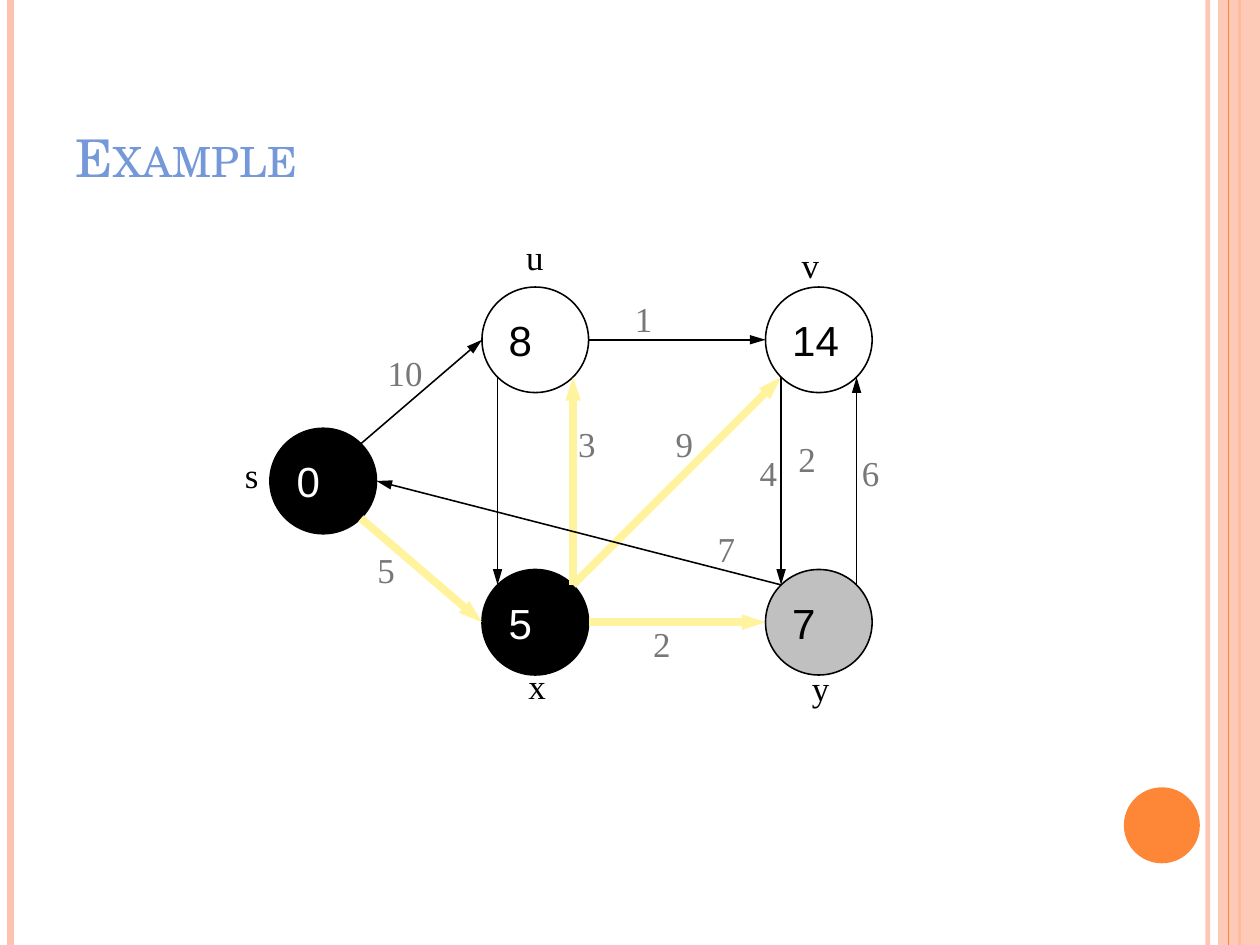
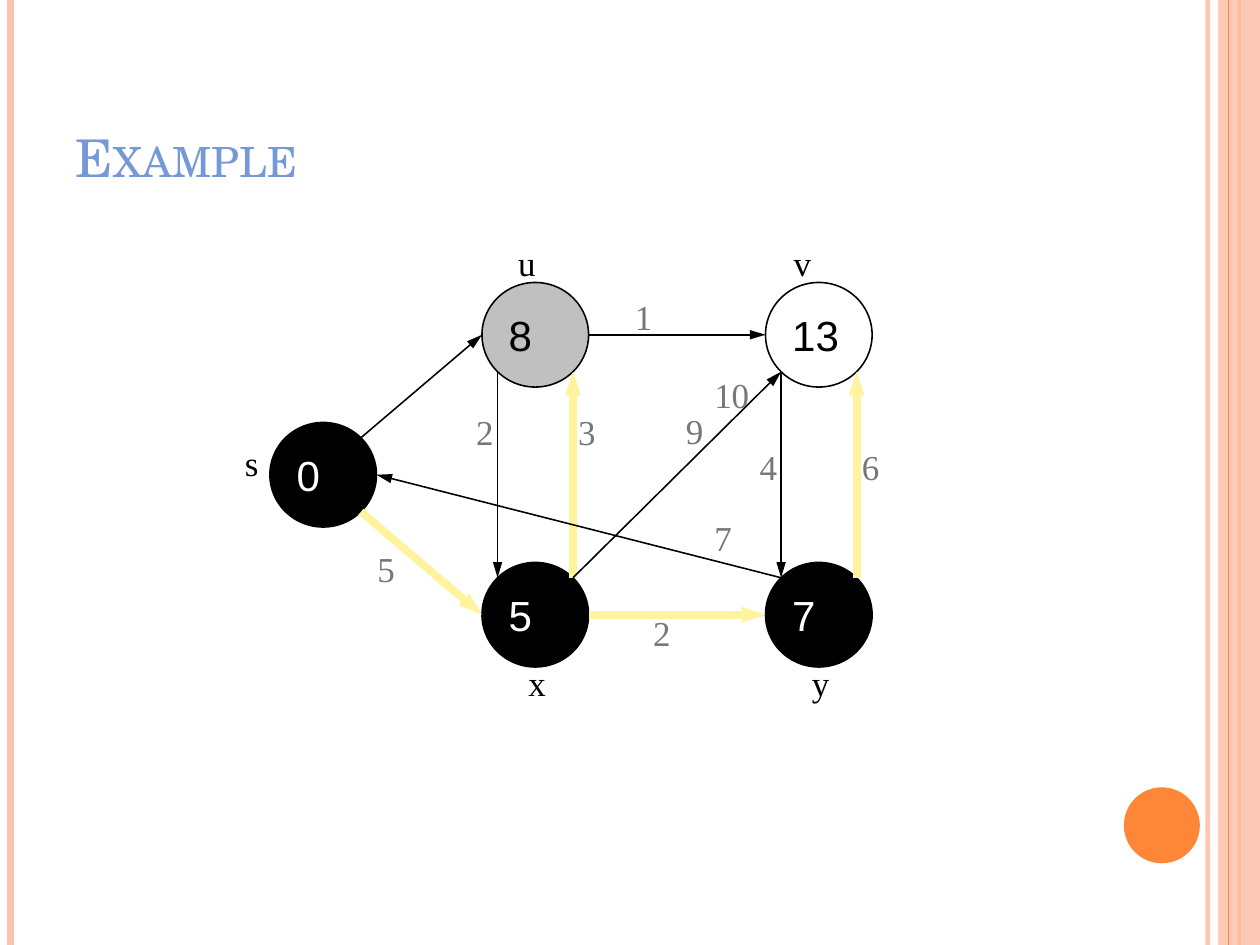
from lxml import etree
from pptx import Presentation
from pptx.dml.color import RGBColor
from pptx.enum.shapes import MSO_CONNECTOR, MSO_SHAPE
from pptx.enum.text import MSO_ANCHOR, MSO_AUTO_SIZE, PP_ALIGN
from pptx.oxml.ns import qn
from pptx.util import Inches, Pt

STRAIGHT = MSO_CONNECTOR.STRAIGHT
OVAL, RECTANGLE = MSO_SHAPE.OVAL, MSO_SHAPE.RECTANGLE
MIDDLE, BOTTOM = MSO_ANCHOR.MIDDLE, MSO_ANCHOR.BOTTOM
LEFT = PP_ALIGN.LEFT
NO_AUTOFIT = MSO_AUTO_SIZE.NONE

COLORS = {
    "black": "000000", "white": "FFFFFF", "gray": "C0C0C0",
    "title": "7598D9", "weight": "777777", "path": "FFF39D",
    "peach": "FEC3AE", "orange": "FE8637",
}
SLIDE_W, SLIDE_H = 11.11, 8.33
TITLE_BOX = (0.56, 0.33, 9.07, 1.39)
BAND_LINES = [
    (10.65, "peach", 3, 93), (0.09, "peach", 4.5, 100),
    (10.93, "orange", 1.5, 100), (10.83, "orange", 0.75, 100),
]

NODE_W = 0.94
NODE_HEIGHT_SHARE = 0.272
COLUMNS = (0, 1.87, 4.37)
NODE_CELLS = {"u": (1, 0), "v": (2, 0), "x": (1, 2), "y": (2, 2), "s": (0, 1)}
NEAR, FAR = 0.146, 0.854
SITES = {
    "left": (0, 0.5), "right": (1, 0.5),
    "top left": (NEAR, NEAR), "top right": (FAR, NEAR),
    "bottom left": (NEAR, FAR), "bottom right": (FAR, FAR),
}
EDGES = [
    ("x", "top right", "u", "bottom right"),
    ("u", "bottom left", "x", "top left"),
    ("u", "right", "v", "left"),
    ("x", "top right", "v", "bottom left"),
    ("v", "bottom left", "y", "top left"),
    ("y", "top right", "v", "bottom right"),
    ("x", "right", "y", "left"),
    ("y", "top left", "s", "right"),
    ("s", "bottom right", "x", "left"),
    ("s", "top right", "u", "left"),
]
LABEL_H = 0.47
WIDE_WEIGHTS = ("10", "5", "1")

STEPS = [
    {
        "box": (2.38, 2.53, 5.31, 3.42),
        "nodes": {"u": ("8", None), "v": ("14", None), "x": ("5", "black"),
                  "y": ("7", "gray"), "s": ("0", "black")},
        "path": ("xu", "xv", "xy", "sx"),
        "names": [("s", -0.32, 1.42), ("y", 4.68, 3.3), ("x", 2.18, 3.28),
                  ("u", 2.16, -0.5), ("v", 4.59, -0.43)],
        "weights": [("2", 4.56, 1.28), ("10", 0.94, 0.52), ("5", 0.85, 2.26),
                    ("1", 3.12, 0.04), ("3", 2.62, 1.15), ("9", 3.48, 1.15),
                    ("4", 4.22, 1.4), ("6", 5.12, 1.4), ("7", 3.85, 2.07),
                    ("2", 3.28, 2.91)],
    },
    {
        "box": (2.38, 2.49, 5.31, 3.39),
        "nodes": {"u": ("8", "gray"), "v": ("13", None), "x": ("5", "black"),
                  "y": ("7", "black"), "s": ("0", "black")},
        "path": ("xu", "yv", "xy", "sx"),
        "names": [("s", -0.32, 1.35), ("u", 2.09, -0.41), ("v", 4.52, -0.41),
                  ("y", 4.68, 3.29), ("x", 2.18, 3.29)],
        "weights": [("10", 3.82, 0.75), ("5", 0.85, 2.29), ("1", 3.12, 0.07),
                    ("2", 1.72, 1.08), ("3", 2.62, 1.08), ("9", 3.57, 1.07),
                    ("4", 4.22, 1.39), ("6", 5.12, 1.39), ("7", 3.82, 2.01),
                    ("2", 3.28, 2.85)],
    },
]


def rgb(name):
    """Return the named colour."""
    return RGBColor.from_string(COLORS[name])


def set_opacity(element, percent):
    """Make the first colour inside the element partly transparent."""
    color = next(element.iter(qn("a:srgbClr")))
    etree.SubElement(color, qn("a:alpha")).set("val", str(percent * 1000))


def format_font(paragraph, face, size, color):
    """Set the face, size and colour of the paragraph's runs."""
    for run in paragraph.runs:
        run.font.name = face
        run.font.size = Pt(size)
        run.font.color.rgb = rgb(color)


def add_line(slide, start, end, color, width, opacity=100, arrow=None):
    """Draw a straight line, with an arrowhead of the given width and length."""
    line = slide.shapes.add_connector(
        STRAIGHT, *(Inches(value) for value in (*start, *end)))
    line.line.color.rgb = rgb(color)
    line.line.width = Pt(width)
    properties = line.element.spPr
    outline = properties.find(qn("a:ln"))
    if opacity < 100:
        set_opacity(outline, opacity)
    if arrow:
        head = etree.SubElement(outline, qn("a:tailEnd"))
        head.set("type", "triangle")
        head.set("w", arrow[0])
        head.set("len", arrow[1])
    etree.SubElement(properties, qn("a:effectLst"))
    return line


def add_filled(slide, kind, box, color):
    """Add a preset shape without shadow or outline; None leaves it unfilled."""
    shape = slide.shapes.add_shape(kind, *(Inches(value) for value in box))
    shape.shadow.inherit = False
    shape.line.fill.background()
    if color:
        shape.fill.solid()
        shape.fill.fore_color.rgb = rgb(color)
    else:
        shape.fill.background()
    return shape


def move_bands_to_layout(slide, layout):
    """Draw the bands and the disc, and place them on the shared layout."""
    for footer in list(layout.placeholders)[1:]:
        footer.element.getparent().remove(footer.element)
    bands = [add_line(slide, (x, 0), (x, SLIDE_H), color, width, opacity)
             for x, color, width, opacity in BAND_LINES]
    side_band = add_filled(
        slide, RECTANGLE, (10.74, 0, 0.37, SLIDE_H), "peach")
    set_opacity(side_band.element.spPr, 87)
    disc = add_filled(slide, OVAL, (9.91, 6.94, 0.67, 0.67), "orange")
    for part in (*bands[:3], side_band, bands[3], disc):
        layout.shapes.element.append(part.element)


def format_title(slide, text, box):
    """Fill, place and format the title placeholder."""
    title = slide.shapes.title
    title.left, title.top, title.width, title.height = map(Inches, box)
    frame = title.text_frame
    frame.text = text
    frame.auto_size = NO_AUTOFIT
    frame.vertical_anchor = BOTTOM
    frame.margin_left = frame.margin_right = Inches(0.11)
    frame.margin_top = frame.margin_bottom = Inches(0.06)
    paragraph = frame.paragraphs[0]
    paragraph.alignment = LEFT
    format_font(paragraph, "TeX Gyre Schola", 33, "title")
    for properties in paragraph.runs[0].font, :
        next(title.element.iter(qn("a:rPr"))).set("cap", "small")


def add_node(slide, box, distance, color):
    """Draw one graph node holding its distance."""
    node = add_filled(slide, OVAL, box, color)
    node.line.color.rgb = rgb("black")
    node.line.width = Pt(1)
    frame = node.text_frame
    frame.text = distance
    frame.word_wrap = False
    frame.vertical_anchor = MIDDLE
    paragraph = frame.paragraphs[0]
    paragraph.alignment = LEFT
    format_font(paragraph, "Arial", 26.7,
                "white" if color == "black" else "black")


def add_label(slide, text, left, top, width, color):
    """Write a node name or an edge weight."""
    label = slide.shapes.add_textbox(
        Inches(left), Inches(top), Inches(width), Inches(LABEL_H))
    label.text_frame.word_wrap = True
    label.text_frame.text = text
    format_font(label.text_frame.paragraphs[0],
                "Times New Roman", 22.2, color)


def add_graph(slide, step):
    """Draw the nodes, edges and labels of one step inside its box."""
    left, top, _, height = step["box"]
    node_h = height * NODE_HEIGHT_SHARE
    row_gap = (height - node_h) / 2
    corners = {name: (left + COLUMNS[column], top + row * row_gap)
               for name, (column, row) in NODE_CELLS.items()}

    def site_point(name, site):
        """Return the point of a site on a node's rim."""
        x, y = corners[name]
        across, down = SITES[site]
        return x + across * NODE_W, y + down * node_h

    for name, (distance, color) in step["nodes"].items():
        add_node(slide, (*corners[name], NODE_W, node_h), distance, color)
    for source, source_site, target, target_site in EDGES:
        on_path = source + target in step["path"]
        add_line(slide, site_point(source, source_site),
                 site_point(target, target_site),
                 "path" if on_path else "black", 5 if on_path else 1,
                 arrow=("sm", "med") if on_path else ("med", "lg"))
    for name, x, y in step["names"]:
        add_label(slide, name, left + x, top + y, 0.62, "black")
    for weight, x, y in step["weights"]:
        width = 0.94 if weight in WIDE_WEIGHTS else 0.62
        add_label(slide, weight, left + x, top + y, width, "weight")


def main():
    """Build the slides and save them."""
    prs = Presentation()
    prs.slide_width, prs.slide_height = Inches(SLIDE_W), Inches(SLIDE_H)
    layout = prs.slide_layouts[5]
    slides = [prs.slides.add_slide(layout) for _ in STEPS]
    move_bands_to_layout(slides[0], layout)
    for slide, step in zip(slides, STEPS):
        format_title(slide, "Example", TITLE_BOX)
        add_graph(slide, step)
    prs.save("out.pptx")


if __name__ == "__main__":
    main()
